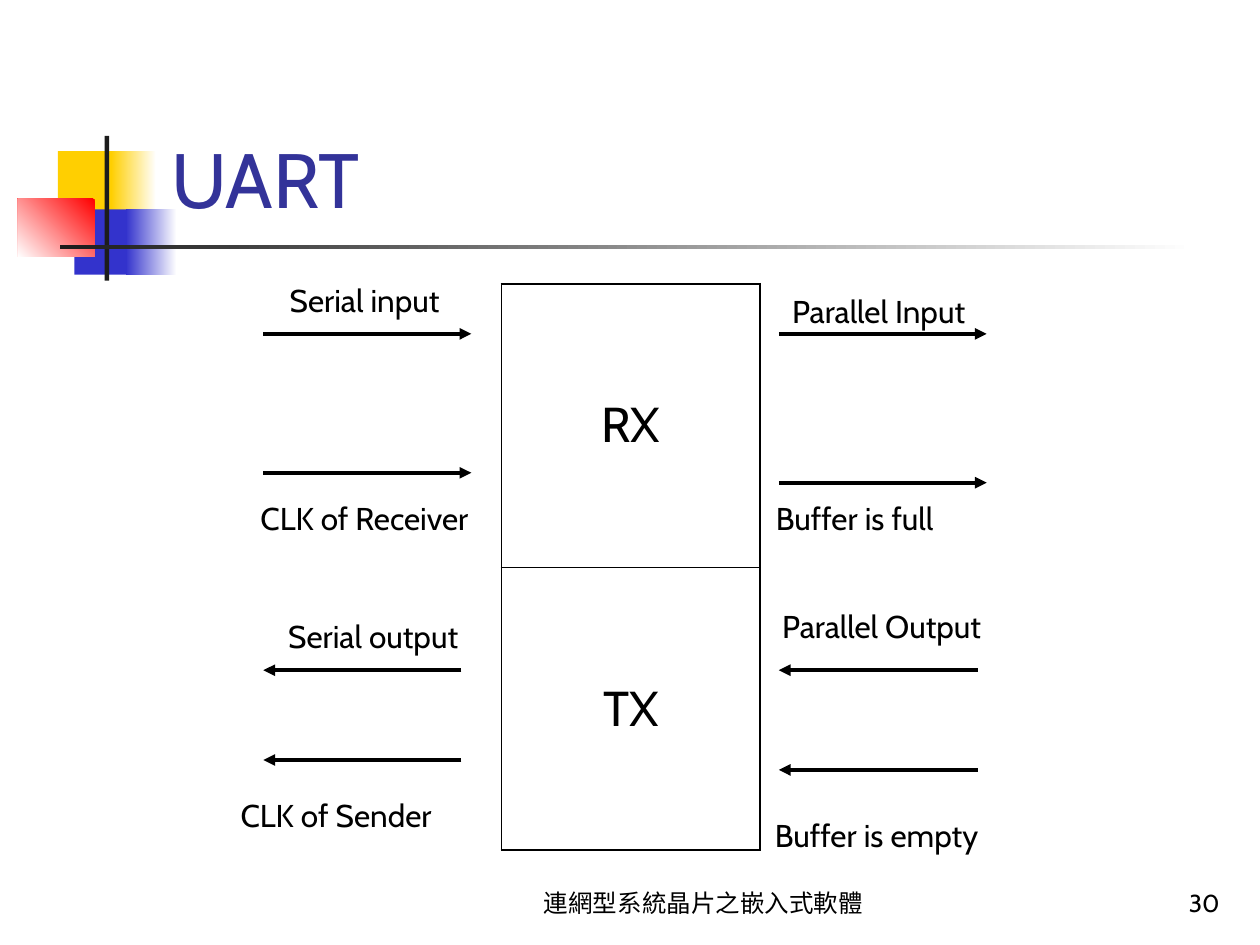
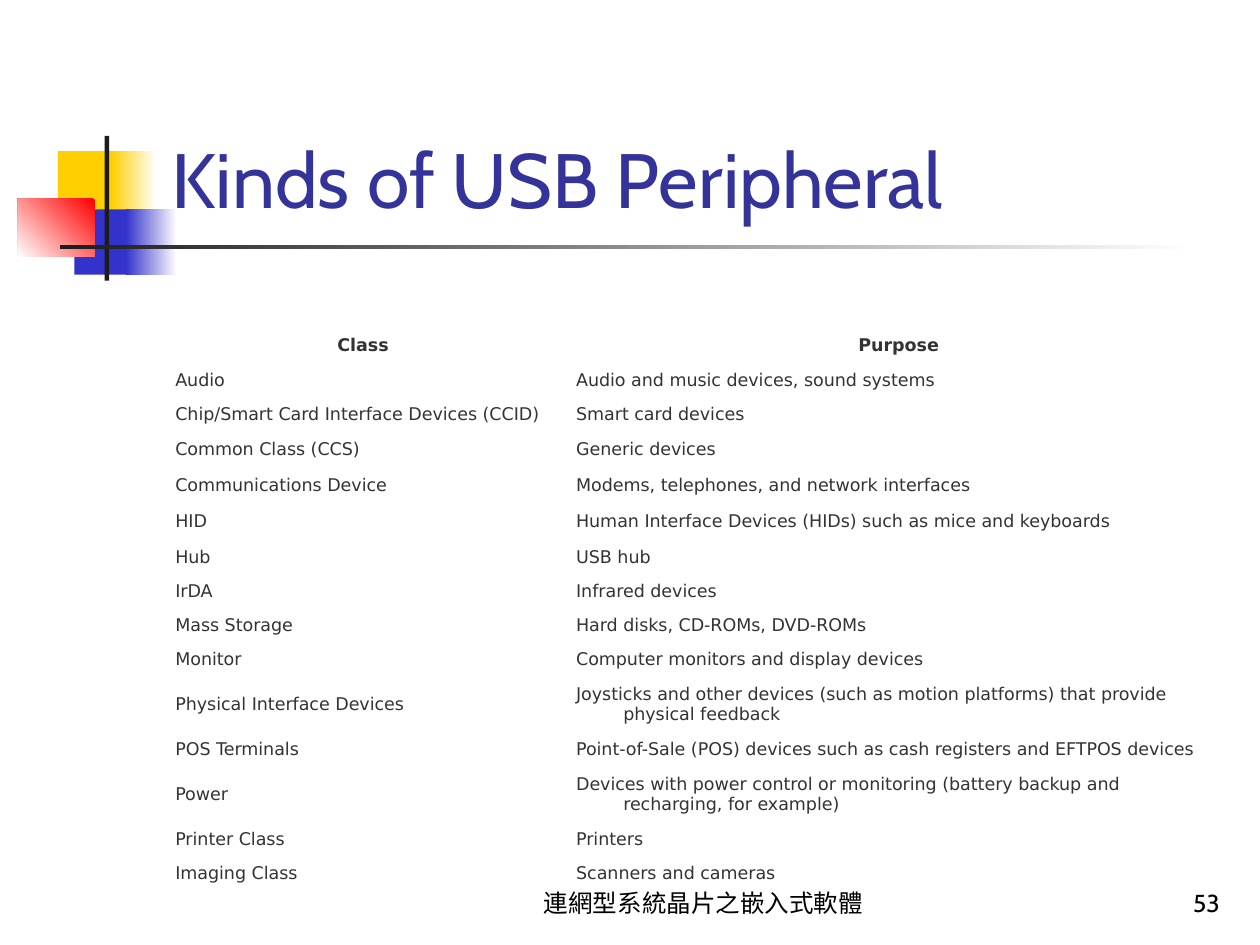
from lxml import etree
from pptx import Presentation
from pptx.dml.color import RGBColor
from pptx.enum.shapes import MSO_CONNECTOR, MSO_SHAPE
from pptx.enum.text import MSO_ANCHOR, MSO_AUTO_SIZE, PP_ALIGN
from pptx.oxml.ns import qn
from pptx.util import Cm, Pt

LEFT, CENTER, RIGHT = PP_ALIGN.LEFT, PP_ALIGN.CENTER, PP_ALIGN.RIGHT
TOP, MIDDLE, BOTTOM = MSO_ANCHOR.TOP, MSO_ANCHOR.MIDDLE, MSO_ANCHOR.BOTTOM
NO_AUTOFIT = MSO_AUTO_SIZE.NONE
RECTANGLE = MSO_SHAPE.RECTANGLE
STRAIGHT = MSO_CONNECTOR.STRAIGHT

BLACK, WHITE, CHARCOAL = "000000", "FFFFFF", "1C1C1C"
YELLOW, BLUE, RED = "FFCF01", "3333CC", "FF0000"
TITLE_BLUE, TABLE_GREY = "333399", "333333"
BODY_FONT, TABLE_FONT = "Cabin", "DejaVu Sans"
FOOTER = "連網型系統晶片之嵌入式軟體"
HANGING = Cm(0.95)
TITLE_ONLY = 5

# Solid fill, or start colour, end colour and counter-clockwise angle
DECORATION = [
    ((1.17, 3.05, 1.22, 1.32), (YELLOW,)),
    ((2.24, 3.05, 0.91, 1.32), (WHITE, YELLOW, 180)),
    ((1.5, 4.22, 1.17, 1.32), (BLUE,)),
    ((2.54, 4.22, 1.02, 1.32), (WHITE, BLUE, 180)),
    ((0.36, 4.01, 1.55, 1.17), (RED, WHITE, 225)),
    ((2.11, 2.74, 0.09, 2.92), (CHARCOAL,)),
    ((1.22, 4.94, 22.86, 0.09), (WHITE, CHARCOAL, 180)),
]

# Label, its left, top and width, then arrow start x, end x and y
SIGNALS = [
    ("Serial input", 5.59, 5.54, 3.89, 5.31, 9.5, 6.73),
    ("CLK of Receiver", 5, 9.93, 5.08, 5.31, 9.5, 9.53),
    ("Serial output", 5.56, 12.32, 4.34, 9.3, 5.31, 13.51),
    ("CLK of Sender", 4.6, 15.93, 4.67, 9.3, 5.31, 15.32),
    ("Parallel Input", 15.72, 5.77, 4.5, 15.7, 19.89, 6.73),
    ("Buffer is full", 15.39, 9.93, 4.09, 15.7, 19.89, 9.73),
    ("Parallel Output", 15.52, 12.12, 5, 19.71, 15.7, 13.51),
    ("Buffer is empty", 15.37, 16.33, 5.05, 19.71, 15.7, 15.52),
]

SINGLE, LOOSE, DOUBLE = 0.69, 0.73, 1.12
USB_CLASSES = [
    ("Class", "Purpose", SINGLE),
    ("Audio", "Audio and music devices, sound systems", SINGLE),
    ("Chip/Smart Card Interface Devices (CCID)", "Smart card devices", SINGLE),
    ("Common Class (CCS)", "Generic devices", LOOSE),
    ("Communications Device", "Modems, telephones, and network interfaces", LOOSE),
    ("HID", "Human Interface Devices (HIDs) such as mice and keyboards", LOOSE),
    ("Hub", "USB hub", SINGLE),
    ("IrDA", "Infrared devices", SINGLE),
    ("Mass Storage", "Hard disks, CD-ROMs, DVD-ROMs", SINGLE),
    ("Monitor", "Computer monitors and display devices", SINGLE),
    ("Physical Interface Devices",
     "Joysticks and other devices (such as motion platforms) that provide physical feedback",
     DOUBLE),
    ("POS Terminals",
     "Point-of-Sale (POS) devices such as cash registers and EFTPOS devices", SINGLE),
    ("Power",
     "Devices with power control or monitoring (battery backup and recharging, for example)",
     DOUBLE),
    ("Printer Class", "Printers", SINGLE),
    ("Imaging Class", "Scanners and cameras", SINGLE),
]


def rgb(hex_colour):
    return RGBColor.from_string(hex_colour)


def box(*lengths):
    return [Cm(length) for length in lengths]


class Deck:
    """Holds the shared style and the slide being built."""

    def __init__(self):
        self.prs = Presentation()
        self.prs.slide_width, self.prs.slide_height = box(25.4, 19.05)
        self.slide = None

    def new_slide(self, title, number):
        self.slide = self.prs.slides.add_slide(self.prs.slide_layouts[TITLE_ONLY])
        for place, fill in DECORATION:
            self.block(place, *fill)
        self.title(title)
        self.label(FOOTER, (10.16, 17.35, 8.05, 1.27), 14, CENTER, BOTTOM, wrap=True)
        self.label(number, (19.56, 17.35, 5.28, 1.27), 14, RIGHT, BOTTOM, wrap=True)

    def title(self, text):
        heading = self.slide.shapes.title
        self.slide.shapes._spTree.append(heading._element)  # in front of the blocks
        heading.left, heading.top, heading.width, heading.height = box(3.2, 0.58, 21.64, 4.06)
        frame = heading.text_frame
        frame.auto_size = NO_AUTOFIT
        self.set_text(frame, text, 44, TITLE_BLUE)
        frame.vertical_anchor = BOTTOM

    def set_text(self, frame, text, size, colour=BLACK, align=LEFT, font=BODY_FONT, bold=False):
        frame.text = text
        paragraph = frame.paragraphs[0]
        paragraph.alignment = align
        paragraph.font.name = font
        paragraph.font.size = Pt(size)
        paragraph.font.bold = bold
        paragraph.font.color.rgb = rgb(colour)
        return paragraph

    def block(self, place, colour, end_colour=None, angle=0):
        shape = self.slide.shapes.add_shape(RECTANGLE, *box(*place))
        shape.shadow.inherit = False
        shape.line.fill.background()
        if end_colour is None:
            shape.fill.solid()
            shape.fill.fore_color.rgb = rgb(colour)
            return
        shape.fill.gradient()
        shape.fill.gradient_angle = angle
        for stop, stop_colour in zip(shape.fill.gradient_stops, (colour, end_colour)):
            stop.color.rgb = rgb(stop_colour)

    def label(self, text, place, size, align=LEFT, anchor=TOP, wrap=False):
        frame = self.slide.shapes.add_textbox(*box(*place)).text_frame
        frame.word_wrap = wrap
        frame.vertical_anchor = anchor
        self.set_text(frame, text, size, align=align)

    def arrow(self, start_x, end_x, y):
        line = self.slide.shapes.add_connector(STRAIGHT, *box(start_x, y, end_x, y))
        line.line.color.rgb = rgb(BLACK)
        line.line.width = Pt(2.25)
        properties = line._element.spPr
        etree.SubElement(properties.find(qn("a:ln")), qn("a:tailEnd"), type="triangle")
        etree.SubElement(properties, qn("a:effectLst"))

    def table(self, left, top, widths, heights):
        """Add a plain table without bands or cell fills."""
        table = self.slide.shapes.add_table(
            len(heights), len(widths), *box(left, top, sum(widths), sum(heights))).table
        table.first_row = table.horz_banding = False
        for column, width in zip(table.columns, widths):
            column.width = Cm(width)
        for row, height in zip(table.rows, heights):
            row.height = Cm(height)
        for cell in table.iter_cells():
            cell.fill.background()
            cell.vertical_anchor = MIDDLE
        return table

    def borders(self, cell, **widths):
        """Draw black borders; keys are L, R, T and B, in that order."""
        properties = cell._tc.get_or_add_tcPr()
        for position, (side, width) in enumerate(widths.items()):
            line = etree.Element(qn(f"a:ln{side}"), w=str(Pt(width)))
            fill = etree.SubElement(line, qn("a:solidFill"))
            etree.SubElement(fill, qn("a:srgbClr"), val=BLACK)
            properties.insert(position, line)


def build_uart(deck):
    deck.new_slide("UART", "30")
    outer, divider = 1.08, 0.45
    chip = deck.table(10.11, 5.72, [5.21], [5.71, 5.71])
    halves = [("RX", outer, divider), ("TX", divider, outer)]
    for row, (name, upper, lower) in enumerate(halves):
        cell = chip.cell(row, 0)
        deck.set_text(cell.text_frame, name, 28, align=CENTER)
        deck.borders(cell, L=outer, R=outer, T=upper, B=lower)
    for name, left, top, width, start_x, end_x, y in SIGNALS:
        deck.arrow(start_x, end_x, y)
        deck.label(name, (left, top, width, 1.02), 18)


def build_usb(deck):
    deck.new_slide("Kinds of USB Peripheral", "53")
    heights = [1.02] + [height for *_, height in USB_CLASSES]
    classes = deck.table(3.28, 5.61, [8.08, 13.51], heights)
    classes.cell(0, 0).merge(classes.cell(0, 1))
    for row, (*texts, _) in enumerate(USB_CLASSES, start=1):
        header = row == 1
        for column, text in enumerate(texts):
            paragraph = deck.set_text(
                classes.cell(row, column).text_frame, text, 10, TABLE_GREY,
                CENTER if header else LEFT, TABLE_FONT, header)
            indents = paragraph._p.get_or_add_pPr()
            indents.set("marL", str(HANGING))
            indents.set("indent", str(-HANGING))


def main():
    deck = Deck()
    build_uart(deck)
    build_usb(deck)
    deck.prs.save("out.pptx")


if __name__ == "__main__":
    main()
